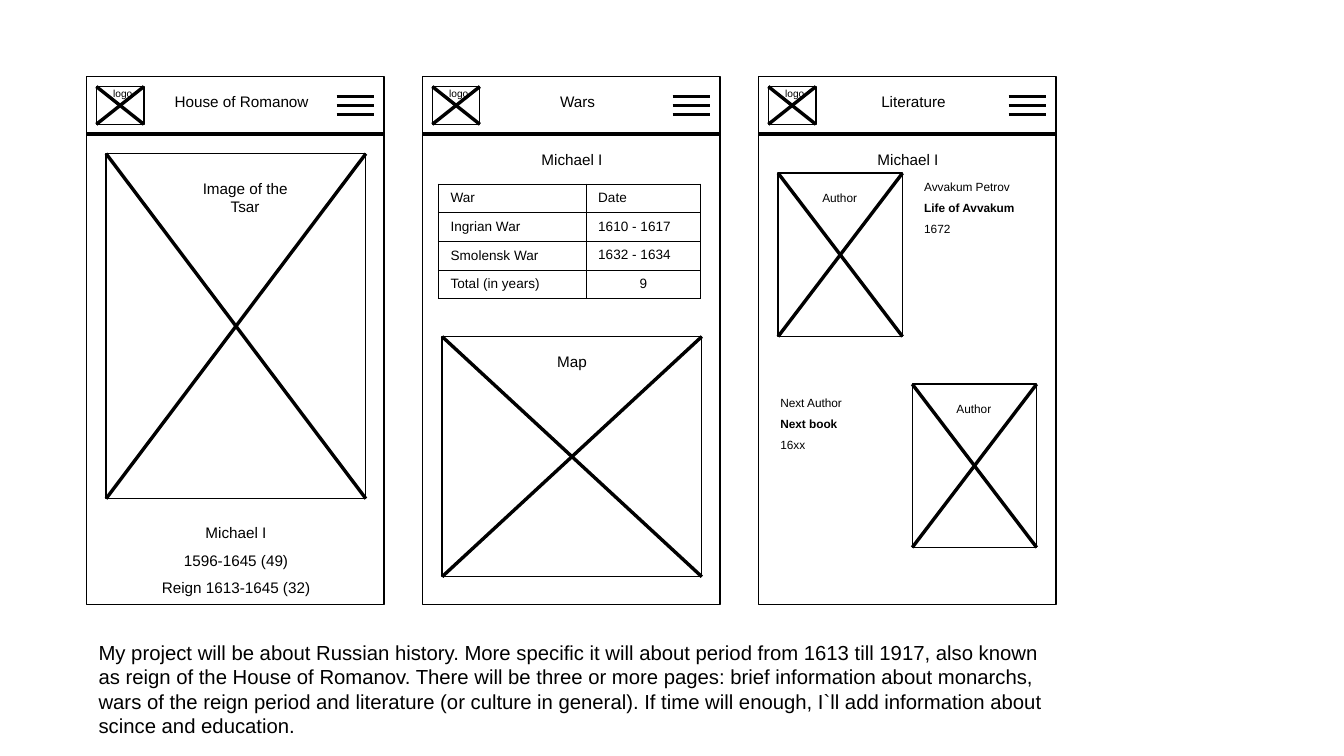
from dataclasses import dataclass

from lxml import etree
from pptx import Presentation
from pptx.dml.color import RGBColor
from pptx.enum.shapes import MSO_CONNECTOR, MSO_SHAPE
from pptx.enum.text import MSO_ANCHOR, MSO_AUTO_SIZE, PP_ALIGN
from pptx.oxml.ns import qn
from pptx.util import Inches, Pt

COLORS = {"ink": "000000"}
FONT = "Arial"
HAIRLINE = 0
FIRST_LEFT, LAST_LEFT = 0.71, 6.22
PHONE_STEP = (LAST_LEFT - FIRST_LEFT) / 2
WARS = [
    ("War", "Date"),
    ("Ingrian War", "1610 - 1617"),
    ("Smolensk War", "1632 - 1634"),
    ("Total (in years)", "9"),
]


@dataclass
class Box:
    left: float
    top: float
    width: float
    height: float

    def inner(self, left, top, width, height):
        return Box(self.left + left, self.top + top, width, height)

    @property
    def right(self):
        return self.left + self.width

    @property
    def bottom(self):
        return self.top + self.height

    def lengths(self):
        return [Inches(n) for n in (self.left, self.top, self.width, self.height)]


def ink():
    return RGBColor.from_string(COLORS["ink"])


def format_paragraph(paragraph, size, align, bold=False):
    paragraph.alignment = align
    for run in paragraph.runs:
        run.font.name = FONT
        run.font.size = Pt(size)
        run.font.bold = bold
        run.font.color.rgb = ink()


def add_text(shapes, box, lines, size, align=PP_ALIGN.CENTER, spacing=None,
             anchor=MSO_ANCHOR.TOP, bold_line=None):
    frame = shapes.add_textbox(*box.lengths()).text_frame
    frame.word_wrap = True
    frame.auto_size = MSO_AUTO_SIZE.SHAPE_TO_FIT_TEXT
    frame.vertical_anchor = anchor
    frame.text = "\n".join(lines)
    for index, paragraph in enumerate(frame.paragraphs):
        format_paragraph(paragraph, size, align, index == bold_line)
        if spacing:
            paragraph.line_spacing = spacing


def add_rectangle(shapes, box):
    shape = shapes.add_shape(MSO_SHAPE.RECTANGLE, *box.lengths())
    shape.shadow.inherit = False
    shape.fill.background()
    shape.line.color.rgb = ink()
    shape.line.width = Pt(HAIRLINE)


def add_line(shapes, x1, y1, x2, y2, width=HAIRLINE):
    line = shapes.add_connector(MSO_CONNECTOR.STRAIGHT, Inches(x1), Inches(y1),
                                Inches(x2), Inches(y2))
    line.line.color.rgb = ink()
    line.line.width = Pt(width)
    etree.SubElement(line._element.spPr, qn("a:effectLst"))


def add_crossed_box(shapes, box):
    group = shapes.add_group_shape()
    add_rectangle(group.shapes, box)
    add_line(group.shapes, box.left, box.top, box.right, box.bottom)
    add_line(group.shapes, box.left, box.bottom, box.right, box.top)
    return group


def add_menu_icon(shapes, box):
    group = shapes.add_group_shape()
    for index in range(3):
        y = box.top + index * box.height / 2
        add_line(group.shapes, box.left, y, box.right, y, 1.42)


def add_phone(shapes, box, title):
    add_rectangle(shapes, box)
    add_line(shapes, box.left, box.top + 0.47, box.right, box.top + 0.47)
    add_text(shapes, box.inner(0.56, 0.08, 1.42, 0.24), [title], 9)
    add_menu_icon(shapes, box.inner(2.05, 0.16, 0.31, 0.15))
    logo = add_crossed_box(shapes, box.inner(0.08, 0.08, 0.39, 0.31))
    add_text(logo.shapes, box.inner(0.12, 0.04, 0.43, 0.29), ["logo"], 6, PP_ALIGN.LEFT)


def add_monarch_heading(shapes, box):
    add_text(shapes, box.inner(0.16, 0.55, 2.13, 0.31), ["Michael I"], 9)


def set_borders(cell):
    properties = cell._tc.get_or_add_tcPr()
    for index, side in enumerate(("lnL", "lnR", "lnT", "lnB")):
        border = etree.Element(qn(f"a:{side}"), w=str(Pt(0.57)))
        fill = etree.SubElement(border, qn("a:solidFill"))
        etree.SubElement(fill, qn("a:srgbClr"), val=COLORS["ink"])
        properties.insert(index, border)


def add_war_table(shapes, box):
    table = shapes.add_table(len(WARS), 2, *box.lengths()).table
    table.first_row = table.horz_banding = False
    for column, width in zip(table.columns, (1.21, 0.94)):
        column.width = Inches(width)
    for row_index, values in enumerate(WARS):
        table.rows[row_index].height = Inches(box.height / len(WARS))
        for column_index, value in enumerate(values):
            cell = table.cell(row_index, column_index)
            cell.text = value
            cell.fill.background()
            set_borders(cell)
            cell.margin_left = cell.margin_right = Inches(0.1)
            cell.margin_top = cell.margin_bottom = Inches(0.05)
            if row_index and not column_index:
                cell.vertical_anchor = MSO_ANCHOR.MIDDLE
            align = PP_ALIGN.CENTER if value == "9" else PP_ALIGN.LEFT
            format_paragraph(cell.text_frame.paragraphs[0], 8, align)


def add_monarch_screen(shapes, box):
    add_phone(shapes, box, "House of Romanow")
    portrait = box.inner(0.16, 0.63, 2.13, 2.83)
    add_crossed_box(shapes, portrait)
    add_text(shapes, portrait.inner(0.67, 0.16, 0.94, 0.38), ["Image of the Tsar"], 9)
    facts = ["Michael I", "1596-1645 (49)", "Reign 1613-1645 (32)"]
    add_text(shapes, box.inner(0.16, 3.54, 2.13, 0.73), facts, 9, spacing=1.5)


def add_wars_screen(shapes, box):
    add_phone(shapes, box, "Wars")
    add_monarch_heading(shapes, box)
    add_war_table(shapes, box.inner(0.13, 0.88, 2.15, 0.94))
    battle_map = box.inner(0.16, 2.13, 2.13, 1.97)
    add_crossed_box(shapes, battle_map)
    add_text(shapes, battle_map.inner(0.71, 0.08, 0.71, 0.24), ["Map"], 9,
             anchor=MSO_ANCHOR.MIDDLE)


def add_book(shapes, portrait, details, lines):
    add_crossed_box(shapes, portrait)
    add_text(shapes, portrait.inner(0.23, 0.08, 0.55, 0.24), ["Author"], 7,
             anchor=MSO_ANCHOR.MIDDLE)
    add_text(shapes, details, lines, 7, PP_ALIGN.LEFT, 1.5, MSO_ANCHOR.MIDDLE, 1)


def add_literature_screen(shapes, box):
    add_phone(shapes, box, "Literature")
    add_monarch_heading(shapes, box)
    add_book(shapes, box.inner(0.16, 0.79, 1.02, 1.34), box.inner(1.26, 0.75, 1.1, 0.59),
             ["Avvakum Petrov", "Life of Avvakum", "1672"])
    add_book(shapes, box.inner(1.26, 2.52, 1.02, 1.34), box.inner(0.08, 2.52, 1.1, 0.59),
             ["Next Author", "Next book", "16xx"])


def add_summary(shapes, box):
    add_text(shapes, box, [
        "My project will be about Russian history. More specific it will about period "
        "from 1613 till 1917, also known as reign of the House of Romanov. There will be "
        "three or more pages: brief information about monarchs, wars of the reign period "
        "and literature (or culture in general). If time will enough, I`ll add information "
        "about scince and education."], 12, PP_ALIGN.LEFT)


def main():
    presentation = Presentation()
    presentation.slide_width = Inches(11.02)
    presentation.slide_height = Inches(6.2)
    slide = presentation.slides.add_slide(presentation.slide_layouts[6])
    screens = (add_monarch_screen, add_wars_screen, add_literature_screen)
    for index, add_screen in enumerate(screens):
        add_screen(slide.shapes, Box(FIRST_LEFT + index * PHONE_STEP, 0.63, 2.44, 4.33))
    add_summary(slide.shapes, Box(FIRST_LEFT, 5.2, 7.95, 0.85))
    presentation.save("out.pptx")


if __name__ == "__main__":
    main()
